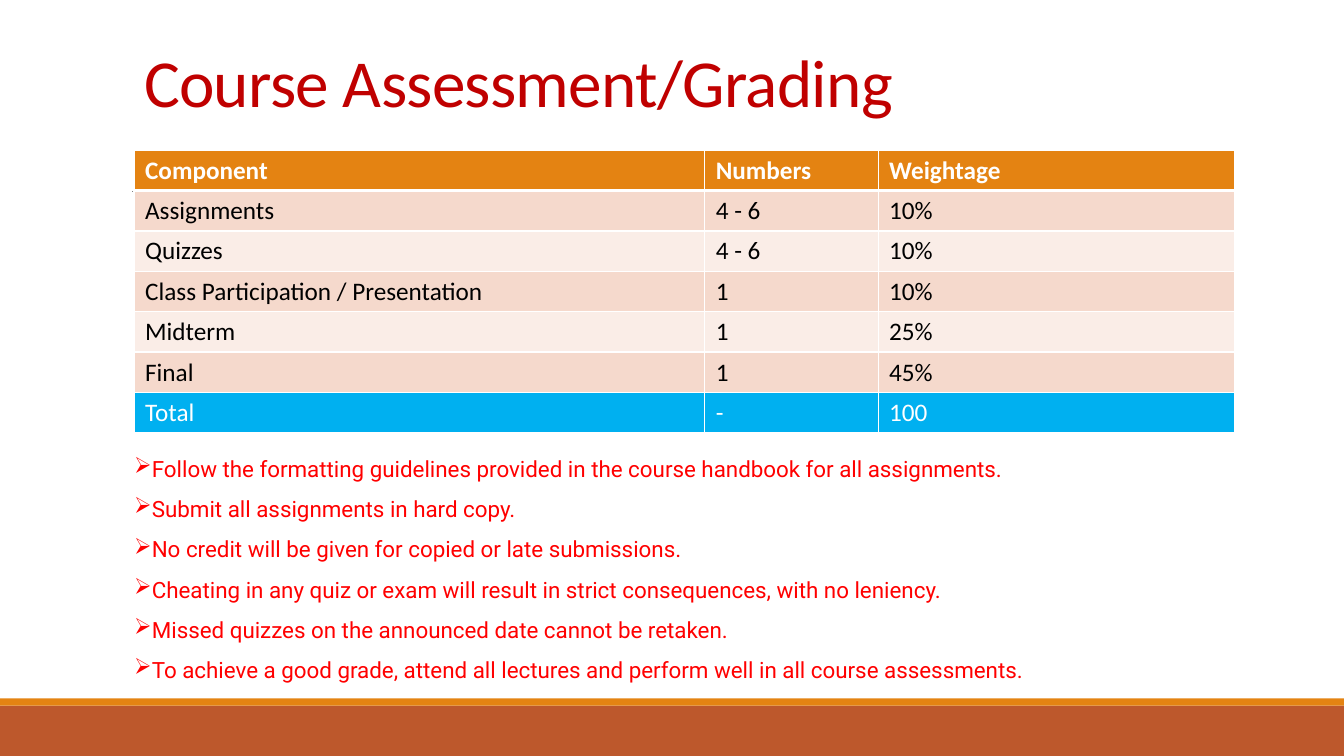
"""Build the course assessment and grading slide."""
from pptx import Presentation, util as u
from pptx.dml.color import RGBColor
from pptx.enum import shapes, text
from pptx.oxml import parse_xml
from pptx.oxml.ns import nsdecls

COLORS = {
    "white": "FFFFFF", "black": "000000", "rust": "BD582C", "orange": "E48312",
    "gray": "808080", "title": "C00000", "rule": "FF0000",
    "band_dark": "F5D9CC", "band_light": "FAEDE7", "total": "00B0F0",
}
GRADING = [
    ("Component", "Numbers", "Weightage"),
    ("Assignments", "4 - 6", "10%"),
    ("Quizzes", "4 - 6", "10%"),
    ("Class Participation / Presentation", "1", "10%"),
    ("Midterm", "1", "25%"),
    ("Final", "1", "45%"),
    ("Total", "-", "100"),
]
RULES = [
    "Follow the formatting guidelines provided in the course handbook for all assignments.",
    "Submit all assignments in hard copy.",
    "No credit will be given for copied or late submissions.",
    "Cheating in any quiz or exam will result in strict consequences, with no leniency.",
    "Missed quizzes on the announced date cannot be retaken.",
    "To achieve a good grade, attend all lectures and perform well in all course assessments.",
]


def rgb(name):
    return RGBColor.from_string(COLORS[name])


def add_span(para, words, font, size, color, bold=False):
    span = para.add_run()
    span.text = words
    span.font.name = font
    span.font.size = u.Pt(size)
    span.font.bold = bold
    span.font.color.rgb = rgb(color)
    return span


deck = Presentation()
deck.slide_width, deck.slide_height = u.Inches(13.33), u.Inches(7.5)
page = deck.slides.add_slide(deck.slide_layouts[6])

for top, height, color in [(7, 0.5, "rust"), (6.93, 0.07, "orange")]:
    bar = page.shapes.add_shape(shapes.MSO_SHAPE.RECTANGLE, 0, u.Inches(top),
                                deck.slide_width, u.Inches(height))
    bar.shadow.inherit = False
    bar.fill.solid()
    bar.fill.fore_color.rgb = rgb(color)
    bar.line.fill.background()

divider = page.shapes.add_connector(shapes.MSO_CONNECTOR.STRAIGHT, u.Inches(1.31),
                                    u.Inches(1.9), u.Inches(12.21), u.Inches(1.9))
divider.line.color.rgb = rgb("gray")
divider.line.width = u.Pt(0.5)
divider._element.spPr.append(parse_xml(f"<a:effectLst {nsdecls('a')}/>"))

title = page.shapes.add_textbox(u.Inches(1.33), u.Inches(0.42), u.Inches(10.92), u.Inches(0.83))
title.text_frame.word_wrap = True
title.text_frame.vertical_anchor = text.MSO_ANCHOR.BOTTOM
heading = title.text_frame.paragraphs[0]
heading.line_spacing = 0.85
span = add_span(heading, "Course Assessment/Grading", "Calibri", 48, "title")
span.font._element.set("spc", "-50")

body = page.shapes.add_textbox(u.Inches(1.33), u.Inches(4.33), u.Inches(10.02), u.Inches(2.5))
frame = body.text_frame
frame.word_wrap = True
frame.margin_left = frame.margin_right = 0
for index, rule in enumerate(RULES):
    para = frame.add_paragraph() if index else frame.paragraphs[0]
    para.line_spacing = 1.5
    props = para._p.get_or_add_pPr()
    props.set("marL", str(u.Inches(0.1)))
    props.set("indent", str(-u.Inches(0.1)))
    props.append(parse_xml(f'<a:buChar {nsdecls("a")} char="➢"/>'))
    add_span(para, rule, "Roboto", 16, "rule")

table = page.shapes.add_table(len(GRADING), 3, u.Inches(1.33), u.Inches(1.49),
                              u.Inches(10.92), u.Inches(2.8)).table
for column, width in zip(table.columns, (5.66, 1.72, 3.54)):
    column.width = u.Inches(width)
last = len(GRADING) - 1
for row, labels in enumerate(GRADING):
    table.rows[row].height = u.Inches(0.4)
    fill = {0: "orange", last: "total"}.get(row, "band_dark" if row % 2 else "band_light")
    ink = "white" if row in (0, last) else "black"
    for col, label in enumerate(labels):
        cell = table.cell(row, col)
        cell.margin_left = cell.margin_right = u.Inches(0.11)
        for side in "LRTB":
            heavy = (row, side) in [(0, "B"), (1, "T")]
            cell._tc.get_or_add_tcPr().append(parse_xml(
                f'<a:ln{side} {nsdecls("a")} w="{u.Pt(3 if heavy else 1)}"><a:solidFill>'
                f'<a:srgbClr val="{COLORS["white"]}"/></a:solidFill></a:ln{side}>'))
        cell.fill.solid()
        cell.fill.fore_color.rgb = rgb(fill)
        add_span(cell.text_frame.paragraphs[0], label, "Calibri", 18, ink, row == 0)

deck.save("out.pptx")
